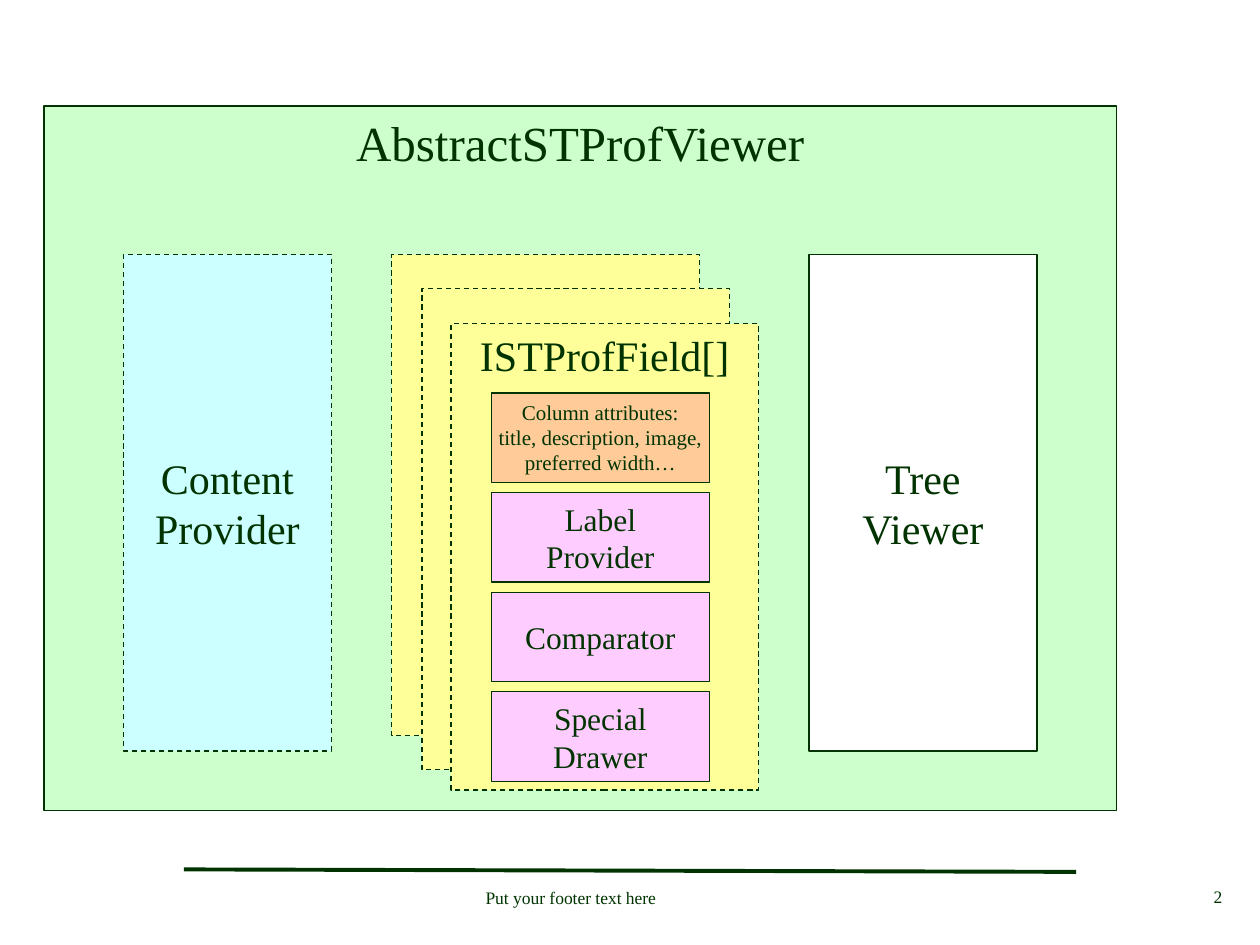
from lxml.etree import SubElement
from pptx import Presentation
from pptx.dml.color import RGBColor
from pptx.enum.dml import MSO_LINE
from pptx.enum.shapes import MSO_CONNECTOR, MSO_SHAPE
from pptx.enum.text import MSO_ANCHOR, PP_ALIGN
from pptx.oxml.ns import qn
from pptx.util import Inches, Pt

DARK_GREEN = RGBColor(0x00, 0x33, 0x00)
PALE_GREEN = RGBColor(0xCC, 0xFF, 0xCC)
PALE_CYAN = RGBColor(0xCC, 0xFF, 0xFF)
YELLOW = RGBColor(0xFF, 0xFF, 0x99)
PINK = RGBColor(0xFF, 0xCC, 0xFF)
ORANGE = RGBColor(0xFF, 0xCC, 0x99)
WHITE = RGBColor(0xFF, 0xFF, 0xFF)


class Diagram:
    font_name = "Times New Roman"
    color = DARK_GREEN

    def __init__(self, slide):
        self.slide = slide

    def set_text(self, shape, text, size, alignment, anchor, wrap):
        frame = shape.text_frame
        frame.text = text
        frame.word_wrap = wrap
        frame.vertical_anchor = anchor
        for paragraph in frame.paragraphs:
            paragraph.alignment = alignment
            paragraph.font.name = self.font_name
            paragraph.font.size = Pt(size)
            paragraph.font.color.rgb = self.color

    def box(self, left, top, width, height, fill, text="", size=18,
            anchor=MSO_ANCHOR.MIDDLE, dashed=False):
        shape = self.slide.shapes.add_shape(
            MSO_SHAPE.RECTANGLE,
            Inches(left), Inches(top), Inches(width), Inches(height))
        shape.shadow.inherit = False
        shape.fill.solid()
        shape.fill.fore_color.rgb = fill
        shape.line.color.rgb = self.color
        shape.line.width = Pt(0.75)
        if dashed:
            shape.line.dash_style = MSO_LINE.DASH
        if text:
            self.set_text(shape, text, size, PP_ALIGN.CENTER, anchor, False)

    def label(self, left, top, width, height, text, alignment):
        shape = self.slide.shapes.add_textbox(
            Inches(left), Inches(top), Inches(width), Inches(height))
        self.set_text(shape, text, 10, alignment, MSO_ANCHOR.TOP, True)
        properties = shape.text_frame.paragraphs[0]._p.get_or_add_pPr()
        properties.set("marL", str(Inches(0.24)))

    def rule(self, start_x, start_y, end_x, end_y):
        connector = self.slide.shapes.add_connector(
            MSO_CONNECTOR.STRAIGHT,
            Inches(start_x), Inches(start_y), Inches(end_x), Inches(end_y))
        connector.line.color.rgb = self.color
        connector.line.width = Pt(2.25)
        SubElement(connector._element.spPr, qn("a:effectLst"))


def main():
    presentation = Presentation()
    presentation.slide_width = Inches(10)
    presentation.slide_height = Inches(7.5)
    diagram = Diagram(presentation.slides.add_slide(presentation.slide_layouts[6]))

    diagram.rule(1.46, 6.9, 8.54, 6.92)
    diagram.box(0.35, 0.84, 8.51, 5.59, PALE_GREEN, "AbstractSTProfViewer", 28,
                MSO_ANCHOR.TOP)
    diagram.box(0.98, 2.02, 1.65, 3.94, PALE_CYAN, "Content\nProvider", 24,
                dashed=True)
    diagram.box(6.42, 2.02, 1.81, 3.94, WHITE, "Tree\nViewer", 24)

    for left, top in ((3.11, 2.02), (3.35, 2.29)):
        diagram.box(left, top, 2.44, 3.82, YELLOW, dashed=True)
    diagram.box(3.58, 2.57, 2.44, 3.7, YELLOW, "ISTProfField[]", 24,
                MSO_ANCHOR.TOP, dashed=True)

    attributes = "Column attributes:\ntitle, description, image,\npreferred width…"
    field_parts = (
        (attributes, ORANGE, 12, MSO_ANCHOR.TOP),
        ("Label\nProvider", PINK, 18, MSO_ANCHOR.MIDDLE),
        ("Comparator", PINK, 18, MSO_ANCHOR.MIDDLE),
        ("Special\nDrawer", PINK, 18, MSO_ANCHOR.MIDDLE),
    )
    for index, (text, fill, size, anchor) in enumerate(field_parts):
        diagram.box(3.9, 3.12 + 0.79 * index, 1.73, 0.71, fill, text, size, anchor)

    diagram.label(1.38, 6.99, 6.06, 0.37, "Put your footer text here", PP_ALIGN.CENTER)
    diagram.label(9.16, 6.98, 0.64, 0.39, "2", PP_ALIGN.RIGHT)
    presentation.save("out.pptx")


if __name__ == "__main__":
    main()
